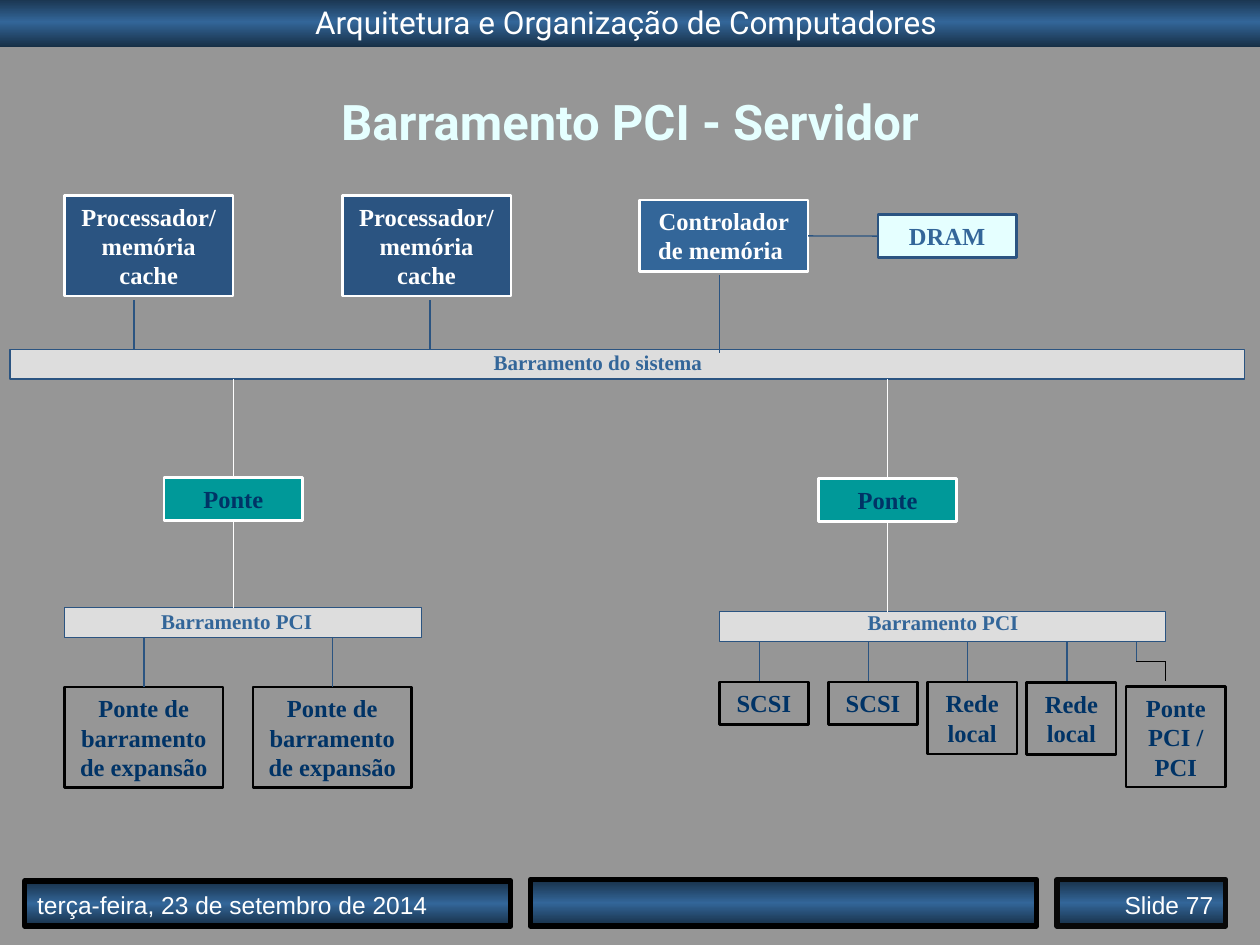
from copy import deepcopy
from typing import NamedTuple, Optional

from lxml import etree
from pptx import Presentation
from pptx import util as u
from pptx.dml import color
from pptx.enum import shapes, text
from pptx.oxml import ns

HUES = {
    "back": "969696", "night": "172F46", "blue": "336699", "deep": "2B5481",
    "navy": "003366", "ice": "E5FFFF", "teal": "009999", "gray": "DDDDDD",
    "white": "FFFFFF", "black": "000000", "ink": "080808",
}
ALIGN = {"l": text.PP_ALIGN.LEFT, "c": text.PP_ALIGN.CENTER, "r": text.PP_ALIGN.RIGHT}
ANCHOR = {"top": text.MSO_ANCHOR.TOP, "bottom": text.MSO_ANCHOR.BOTTOM}
SERIF = "Times New Roman"


class Box(NamedTuple):
    words: str
    x: float
    y: float
    w: float
    h: float
    fill: Optional[str] = None
    edge: Optional[str] = "black"
    ink: str = "navy"
    width: float = 1.5


class Label(NamedTuple):
    words: str
    x: float
    y: float
    w: float
    indent: float


class Line(NamedTuple):
    x1: float
    y1: float
    x2: float
    y2: float
    hue: str = "deep"


def rgb(name: str) -> color.RGBColor:
    return color.RGBColor.from_string(HUES[name])


def write(shape, words: str, *, font=SERIF, size=14, ink="navy", bold=True,
          align="c", anchor="top", indent=0.0) -> None:
    frame = shape.text_frame
    frame.word_wrap = True
    frame.vertical_anchor = ANCHOR[anchor]
    para = frame.paragraphs[0]
    para.alignment = ALIGN[align]
    if indent:
        para._p.get_or_add_pPr().set("marL", str(u.Cm(indent)))
    run = para.add_run()
    run.text = words
    run.font.name = font
    run.font.size = u.Pt(size)
    run.font.bold = bold
    run.font.color.rgb = rgb(ink)


def shade(shape) -> None:
    fill = shape.fill
    fill.gradient()
    fill.gradient_angle = 270
    stops = shape._element.spPr.find(".//" + ns.qn("a:gsLst"))
    stops.append(deepcopy(stops[0]))
    for stop, spot, hue in zip(fill.gradient_stops, (0, 0.5, 1), ("night", "blue", "night")):
        stop.position = spot
        stop.color.rgb = rgb(hue)


def draw(slide, box: Box):
    shape = slide.shapes.add_shape(
        shapes.MSO_SHAPE.RECTANGLE, *map(u.Cm, (box.x, box.y, box.w, box.h)))
    shape.shadow.inherit = False
    if box.fill == "shade":
        shade(shape)
    elif box.fill:
        shape.fill.solid()
        shape.fill.fore_color.rgb = rgb(box.fill)
    else:
        shape.fill.background()
    if box.edge:
        shape.line.color.rgb = rgb(box.edge)
        shape.line.width = u.Pt(box.width)
    else:
        shape.line.fill.background()
    return shape


def place(slide, box: Box):
    shape = draw(slide, box)
    write(shape, box.words, ink=box.ink)
    return shape


def tag(slide, x: float, y: float, w: float, h: float, words: str, **form) -> None:
    write(slide.shapes.add_textbox(*map(u.Cm, (x, y, w, h))), words, **form)


def link(slide, line: Line, start=None, end=None) -> None:
    wire = slide.shapes.add_connector(
        shapes.MSO_CONNECTOR.STRAIGHT, *map(u.Cm, line[:4]))
    wire.line.color.rgb = rgb(line.hue)
    wire.line.width = u.Pt(0.75)
    etree.SubElement(wire._element.spPr, ns.qn("a:effectLst"))
    if start:
        wire.begin_connect(*start)
    if end:
        wire.end_connect(*end)


def frame(slide) -> None:
    head = draw(slide, Box("", 0, -0.07, 25.4, 1.02, "shade", None))
    write(head, "Arquitetura e Organização de Computadores ",
          font="Roboto", size=18, ink="white", bold=False)
    date = draw(slide, Box("", 0.5, 17.76, 9.8, 0.91, "shade", width=3))
    draw(slide, Box("", 10.69, 17.73, 10.21, 0.94, "shade", width=3))
    page = draw(slide, Box("", 21.31, 17.73, 3.4, 0.94, "shade", "ink", width=3))
    foot = dict(font="Arial", ink="white", bold=False, anchor="bottom")
    write(date, "terça-feira, 23 de setembro de 2014", align="l", **foot)
    write(page, "Slide 77", align="r", **foot)
    tag(slide, 0, 1.73, 25.4, 1.45, "Barramento PCI - Servidor",
        font="Roboto", size=28, ink="ice")


def buses(slide) -> None:
    for x, y, w in ((0.2, 7.04, 24.89), (1.3, 12.25, 7.2), (14.5, 12.33, 8.99)):
        draw(slide, Box("", x, y, w, 0.6, "gray", "deep", width=0.75))
    for item in (
        Label("Barramento do sistema", 9.7, 6.92, 4.8, 0),
        Label("Barramento PCI", 2.24, 12.14, 5.21, 0.76),
        Label("Barramento PCI", 15.44, 12.17, 6.07, 1.8),
    ):
        tag(slide, item.x, item.y, item.w, 0.76, item.words,
            size=12, ink="blue", align="l", indent=item.indent)


def system(slide) -> None:
    for x, mid in ((1.3, 2.7), (6.9, 8.67)):
        place(slide, Box("Processador/memória cache", x, 3.94, 3.4, 2.03,
                         "deep", "white", "white"))
        link(slide, Line(mid, 6.05, mid, 7.04))
    ctrl = place(slide, Box("Controlador de memória ", 12.89, 4.03, 3.4, 1.45,
                            "blue", "white", "white"))
    dram = place(slide, Box("DRAM", 17.7, 4.33, 2.79, 0.86, "ice", "deep", "blue"))
    link(slide, Line(14.5, 5.54, 14.5, 7.12))
    link(slide, Line(16.29, 4.75, 17.7, 4.75), (ctrl, 3), (dram, 1))


def bridges(slide) -> None:
    for x, y, base in ((3.31, 9.63, 12.25), (16.5, 9.65, 12.33)):
        node = place(slide, Box("Ponte", x, y, 2.79, 0.86, "teal", "white", "navy"))
        mid = x + 2.79 / 2
        link(slide, Line(mid, 7.64, mid, y, "white"), end=(node, 0))
        link(slide, Line(mid, y + 0.86, mid, base, "white"), start=(node, 2))


def ports(slide) -> None:
    for x in (1.3, 5.1):
        node = place(slide, Box("Ponte de barramento de expansão", x, 13.85, 3.2, 2.03))
        link(slide, Line(x + 1.6, 12.84, x + 1.6, 13.85), end=(node, 0))
    for box in (
        Box("SCSI", 14.5, 13.75, 1.8, 0.86),
        Box("SCSI", 16.7, 13.75, 1.8, 0.86),
        Box("Rede local", 18.7, 13.75, 1.8, 1.45),
        Box("Rede local", 20.7, 13.76, 1.8, 1.45),
    ):
        place(slide, box)
        mid = box.x + 0.81
        link(slide, Line(mid, 12.93, mid, 13.73))
    place(slide, Box("Ponte PCI / PCI", 22.7, 13.84, 2.01, 2.03))
    for line in (
        Line(22.91, 12.93, 22.91, 13.34),
        Line(22.91, 13.34, 23.5, 13.34, "black"),
        Line(23.5, 13.34, 23.5, 13.72, "black"),
    ):
        link(slide, line)


def main() -> None:
    deck = Presentation()
    deck.slide_width, deck.slide_height = u.Cm(25.4), u.Cm(19.05)
    slide = deck.slides.add_slide(deck.slide_layouts[6])
    slide.background.fill.solid()
    slide.background.fill.fore_color.rgb = rgb("back")
    for part in (frame, buses, system, bridges, ports):
        part(slide)
    deck.save("out.pptx")


if __name__ == "__main__":
    main()
